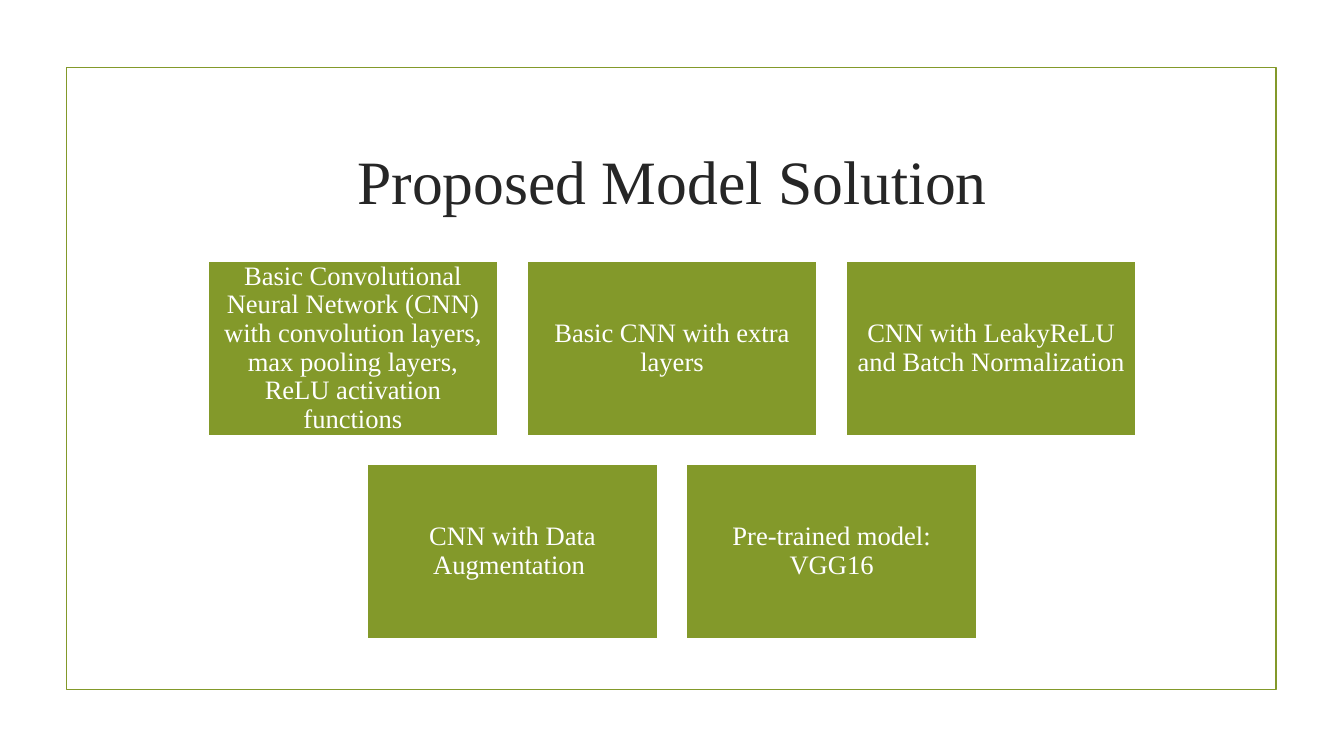
from dataclasses import dataclass

from pptx import Presentation
from pptx.dml.color import RGBColor
from pptx.enum.shapes import MSO_SHAPE as Shape
from pptx.enum.text import MSO_ANCHOR as Anchor, PP_ALIGN as Align
from pptx.util import Inches, Pt

TITLE = "Proposed Model Solution"
MODEL_ROWS = [
    [
        "Basic Convolutional Neural Network (CNN) with convolution layers, "
        "max pooling layers, ReLU activation functions",
        "Basic CNN with extra layers",
        "CNN with LeakyReLU and Batch Normalization",
    ],
    ["CNN with Data Augmentation ", "Pre-trained model: VGG16"],
]


@dataclass(frozen=True)
class Theme:
    font: str = "Times New Roman"
    green: RGBColor = RGBColor(0x83, 0x99, 0x2A)
    white: RGBColor = RGBColor(0xFF, 0xFF, 0xFF)
    dark: RGBColor = RGBColor(0x26, 0x26, 0x26)
    title_size: Pt = Pt(44)
    box_size: Pt = Pt(19)
    line_width: Pt = Pt(1.25)


THEME = Theme()
SLIDE_WIDTH, SLIDE_HEIGHT = 13.33, 7.5
BOX_WIDTH, BOX_HEIGHT = 2.88, 1.73
GAP = 0.285
ROWS_TOP = 2.59


def add_rectangle(slide, left, top, width, height, fill, line):
    shape = slide.shapes.add_shape(
        Shape.RECTANGLE, Inches(left), Inches(top), Inches(width), Inches(height)
    )
    shape.shadow.inherit = False
    if fill is None:
        shape.fill.background()
    else:
        shape.fill.solid()
        shape.fill.fore_color.rgb = fill
    shape.line.color.rgb = line
    shape.line.width = THEME.line_width
    return shape


def set_text(shape, text, size, color):
    """Write one centred paragraph and return it."""
    frame = shape.text_frame
    frame.word_wrap = True
    frame.vertical_anchor = Anchor.MIDDLE
    paragraph = frame.paragraphs[0]
    paragraph.text = text
    paragraph.alignment = Align.CENTER
    paragraph.font.name = THEME.font
    paragraph.font.size = size
    paragraph.font.color.rgb = color
    return paragraph


def add_model_box(slide, left, top, text):
    box = add_rectangle(
        slide, left, top, BOX_WIDTH, BOX_HEIGHT, THEME.green, THEME.white
    )
    frame = box.text_frame
    frame.margin_left = frame.margin_right = Inches(0.08)
    frame.margin_top = frame.margin_bottom = Inches(0.08)
    set_text(box, text, THEME.box_size, THEME.white).line_spacing = 0.9


def main():
    presentation = Presentation()
    presentation.slide_width = Inches(SLIDE_WIDTH)
    presentation.slide_height = Inches(SLIDE_HEIGHT)
    slide = presentation.slides.add_slide(presentation.slide_layouts[6])

    add_rectangle(slide, 0.66, 0.67, 12, 6.17, None, THEME.green)
    title = slide.shapes.add_textbox(
        Inches(1.42), Inches(1.07), Inches(10.5), Inches(1.43)
    )
    set_text(title, TITLE, THEME.title_size, THEME.dark)

    for row, models in enumerate(MODEL_ROWS):
        row_width = len(models) * (BOX_WIDTH + GAP) - GAP
        row_left = (SLIDE_WIDTH - row_width) / 2
        top = ROWS_TOP + row * (BOX_HEIGHT + GAP)
        for column, text in enumerate(models):
            add_model_box(slide, row_left + column * (BOX_WIDTH + GAP), top, text)

    presentation.save("out.pptx")


if __name__ == "__main__":
    main()
